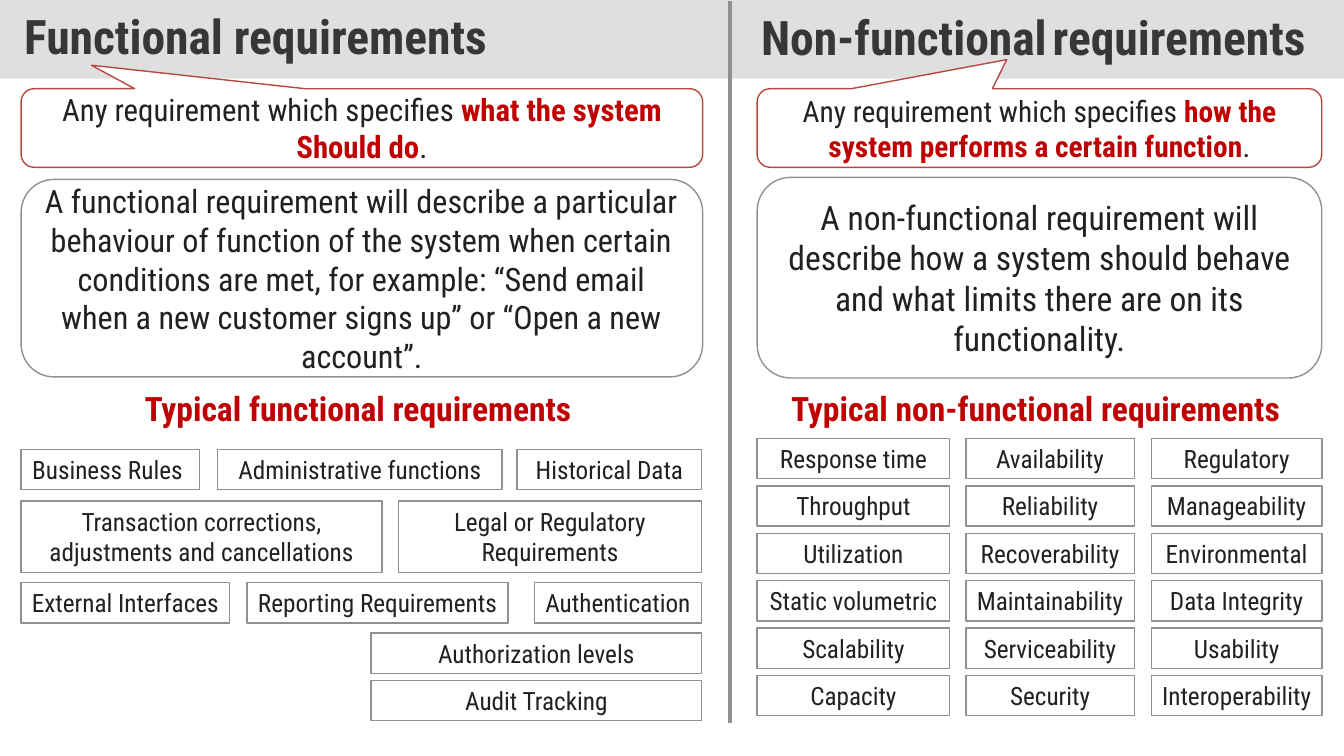
import pptx
import pptx.util
import pptx.dml.color
import pptx.enum.shapes
import pptx.enum.text
import lxml.etree

Inches = pptx.util.Inches
Pt = pptx.util.Pt
KIND = pptx.enum.shapes.MSO_SHAPE
ALIGN = pptx.enum.text.PP_ALIGN
ANCHOR = pptx.enum.text.MSO_ANCHOR
FONT = "Roboto Condensed"
HUES = {"band": "C0C0C0", "head": "373737", "text": "212121", "key": "C00000",
        "edge": "909090", "call": "B84742", "fill": "FFFFFF"}
NS = "http://schemas.openxmlformats.org/drawingml/2006/main"


def hue(name):
    return pptx.dml.color.RGBColor.from_string(HUES[name])


def write(shape, runs, align=ALIGN.CENTER, anchor=ANCHOR.MIDDLE, side=0.1):
    """Fill a shape with one paragraph of (text, size, colour, bold) runs."""
    frame = shape.text_frame
    frame.word_wrap = True
    frame.vertical_anchor = anchor
    frame.margin_left = frame.margin_right = Inches(side)
    para = frame.paragraphs[0]
    para.alignment = align
    for text, size, color, bold in runs:
        run = para.add_run()
        run.text = text
        run.font.name = FONT
        run.font.size = Pt(size)
        run.font.bold = bold
        run.font.color.rgb = hue(color)
    return para


def block(slide, kind, box, edge):
    shape = slide.shapes.add_shape(kind, *map(Inches, box))
    shape.shadow.inherit = False
    shape.fill.solid()
    shape.fill.fore_color.rgb = hue("fill")
    shape.line.color.rgb = hue(edge)
    shape.line.width = Pt(1)
    return shape


def tag(slide, text, box):
    shape = block(slide, KIND.RECTANGLE, box, "edge")
    write(shape, [(text, 18, "text", False)], anchor=ANCHOR.TOP, side=0.05)


def header(slide, box):
    # Grey band with the left heading
    title = slide.shapes.title
    title.left, title.top, title.width, title.height = map(Inches, box)
    title.fill.solid()
    title.fill.fore_color.rgb = hue("band")
    color = title.fill._xPr.find(f".//{{{NS}}}srgbClr")
    lxml.etree.SubElement(color, f"{{{NS}}}alpha", val="50000")
    para = write(title, [("Functional requirements", 34, "head", True)],
                 ALIGN.LEFT, side=0.24)
    para.line_spacing = 0.9
    frame = title.text_frame
    frame.margin_top = frame.margin_bottom = Inches(0.12)

    # Right heading
    note = slide.shapes.add_textbox(*map(Inches, (7.45, 0.03, 5.8, 0.67)))
    write(note, [("Non-functional", 34, "head", True), (" ", 18, "text", False),
                 ("requirements", 34, "head", True)], ALIGN.LEFT, ANCHOR.TOP)


def panel(slide, box, tip, key, size, body, top, high, big, label):
    """Callout, description and subheading stacked in the given box."""
    left, y, wide = box
    call = block(slide, KIND.ROUNDED_RECTANGULAR_CALLOUT,
                 (left, y, wide, 0.78), "call")
    for spot, value in enumerate((*tip, 0.167)):
        call.adjustments[spot] = value
    write(call, [("Any requirement which specifies ", size, "text", False),
                 (key, size, "key", True), (".", size, "text", False)])

    card = block(slide, KIND.ROUNDED_RECTANGLE,
                 (left, y + top, wide, high), "edge")
    write(card, [(body, big, "text", False)])

    sub = slide.shapes.add_textbox(*map(Inches, (left, y + 2.92, wide, 0.5)))
    write(sub, [(label, 24, "key", True)], anchor=ANCHOR.TOP)


def mosaic(slide, left, top):
    # Rows: offset down, height, then (text, offset across, width)
    rows = [
        (0, 0.4, [("Business Rules ", 0, 1.77),
                  ("Administrative functions", 1.95, 2.82),
                  ("Historical Data", 4.92, 1.83)]),
        (0.51, 0.71, [("Transaction corrections, adjustments and cancellations", 0, 3.58),
                      ("Legal or Regulatory Requirements", 3.74, 3.01)]),
        (1.32, 0.4, [("External Interfaces", 0, 2.07),
                     ("Reporting Requirements", 2.24, 2.59),
                     ("Authentication", 5.09, 1.66)]),
        (1.82, 0.4, [("Authorization levels", 3.47, 3.28)]),
        (2.29, 0.4, [("Audit Tracking", 3.47, 3.28)]),
    ]
    for down, high, tags in rows:
        for text, over, wide in tags:
            tag(slide, text, (left + over, top + down, wide, high))


def grid(slide, left, top):
    cols = [
        (0, 1.91, ["Response time", "Throughput", "Utilization",
                   "Static volumetric", "Scalability", "Capacity"]),
        (2.07, 1.67, ["Availability", "Reliability", "Recoverability",
                      "Maintainability", "Serviceability", "Security"]),
        (3.91, 1.69, ["Regulatory", "Manageability", "Environmental",
                      "Data Integrity", "Usability", "Interoperability"]),
    ]
    for over, wide, names in cols:
        for row, text in enumerate(names):
            tag(slide, text, (left + over, top + 0.47 * row, wide, 0.4))


def split(slide, x, top, end):
    line = slide.shapes.add_connector(
        pptx.enum.shapes.MSO_CONNECTOR.STRAIGHT, *map(Inches, (x, top, x, end)))
    line.line.color.rgb = hue("edge")
    line.line.width = Pt(3)
    lxml.etree.SubElement(line._element.spPr, f"{{{NS}}}effectLst")


def main():
    deck = pptx.Presentation()
    deck.slide_width, deck.slide_height = Inches(13.33), Inches(7.5)
    slide = deck.slides.add_slide(deck.slide_layouts[5])
    header(slide, (0, 0, 13.33, 0.78))

    # Functional side
    panel(slide, (0.21, 0.88, 6.76), (-0.397, -0.799),
          "what the system Should do", 22,
          "A functional requirement will describe a particular behaviour of "
          "function of the system when certain conditions are met, for example: "
          "“Send email when a new customer signs up” or “Open a new account”.",
          0.9, 1.96, 23, "Typical functional requirements ")
    mosaic(slide, 0.21, 4.46)

    split(slide, 7.24, 0.01, 7.17)

    # Non-functional side
    panel(slide, (7.51, 0.88, 5.6), (-0.058, -0.87),
          "how the system performs a certain function", 21,
          "A non-functional requirement will describe how a system should "
          "behave and what limits there are on its functionality.",
          0.88, 1.99, 24, "Typical non-functional requirements ")
    grid(slide, 7.51, 4.35)
    deck.save("out.pptx")


if __name__ == "__main__":
    main()
